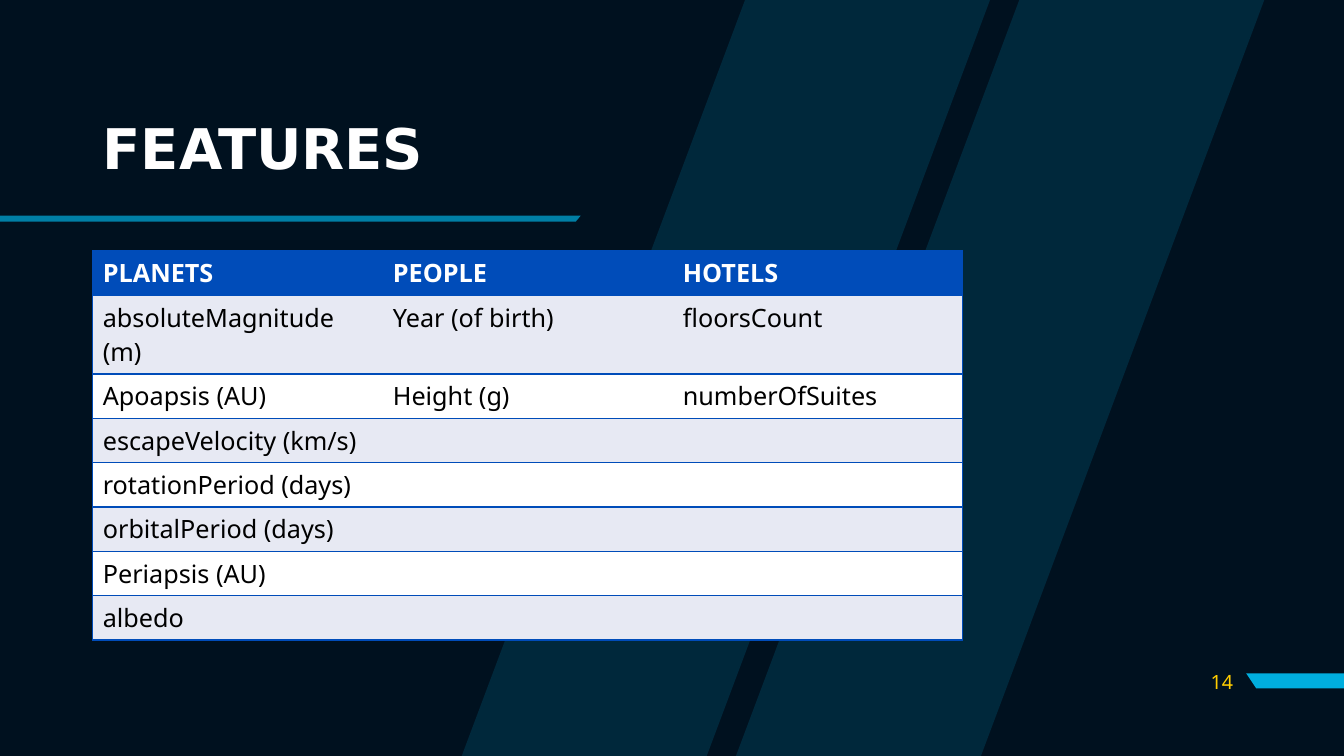
from lxml.etree import SubElement
from pptx import Presentation
from pptx.dml.color import RGBColor
from pptx.enum.text import MSO_ANCHOR as Anchor, PP_ALIGN as Align
from pptx.oxml.ns import qn
from pptx.util import Inches, Pt

NAVY, CYAN, BLUE, PALE, WHITE = "00111F", "00AEDE", "004CB9", "E7E9F3", "FFFFFF"
BODY_FONT, TITLE_FONT = "Noto Sans", "DejaVu Sans"
COLUMNS = {
    "PLANETS": ["absoluteMagnitude (m)", "Apoapsis (AU)", "escapeVelocity (km/s)",
                "rotationPeriod (days)", "orbitalPeriod (days)", "Periapsis (AU)", "albedo"],
    "PEOPLE": ["Year (of birth)", "Height (g)"],
    "HOTELS": ["floorsCount", "numberOfSuites"],
}
TWO_LINE_ROW = 1


def rgb(color):
    return RGBColor.from_string(color)


def style_font(font, name, size, color, bold=False):
    font.name, font.size, font.bold = name, Pt(size), bold
    font.color.rgb = rgb(color)


def add_outline(page, contours, opacity=100):
    """Draw closed cyan contours, given in inches, as one shape."""
    contours = [[(Inches(x), Inches(y)) for x, y in contour] for contour in contours]
    builder = page.shapes.build_freeform(*contours[0][0])
    for index, (start, *points) in enumerate(contours):
        if index:
            builder.move_to(*start)
        builder.add_line_segments(points, close=True)
    shape = builder.convert_to_shape()
    shape.shadow.inherit = False
    shape.line.fill.background()
    shape.fill.solid()
    shape.fill.fore_color.rgb = rgb(CYAN)
    if opacity < 100:
        color = shape.fill._xPr.find(".//" + qn("a:srgbClr"))
        SubElement(color, qn("a:alpha"), val=str(opacity * 1000))


def add_stripes(page, left, top, width, height):
    """Two slanted bands that together span the box."""
    band, step = 2.43, 2.72
    slant = width - band - step
    bottom = top + height
    add_outline(page, [
        [(x + slant, top), (x, bottom), (x + band, bottom), (x + band + slant, top)]
        for x in (left + step, left)
    ], opacity=15)


def add_text(page, left, top, width, height, text, anchor):
    box = page.shapes.add_textbox(*map(Inches, (left, top, width, height)))
    frame = box.text_frame
    frame.word_wrap = True
    frame.vertical_anchor = anchor
    frame.text = text
    return frame.paragraphs[0]


def add_heading(page, left, top, width, height):
    para = add_text(page, left, top, width, height, "FEATURES", Anchor.BOTTOM)
    para.line_spacing = 0.9
    style_font(para.runs[0].font, TITLE_FONT, 40, WHITE, bold=True)
    rule_top, rule_end = top + height + 0.29, 5.76
    rule_bottom = rule_top + 0.06
    add_outline(page, [[(0, rule_top), (0, rule_bottom),
                        (rule_end - 0.05, rule_bottom), (rule_end, rule_top)]], opacity=70)


def add_page_number(page, left, top, width, height):
    para = add_text(page, left, top, width, height, "14", Anchor.MIDDLE)
    para.alignment = Align.RIGHT
    style_font(para.runs[0].font, BODY_FONT, 14, "FFCD00")
    tab_left, tab_top = left + width + 0.03, top + 0.12
    add_outline(page, [[(13.33, tab_top), (13.33, tab_top + 0.15),
                        (tab_left + 0.1, tab_top + 0.15), (tab_left, tab_top)]])


def add_borders(cell, sides):
    """Line the named sides of a cell in blue and clear the others."""
    properties = cell._tc.get_or_add_tcPr()
    for side in "LRTB":
        line = SubElement(properties, qn(f"a:ln{side}"), w=str(Pt(1)))
        if side in sides:
            fill = SubElement(line, qn("a:solidFill"))
            SubElement(fill, qn("a:srgbClr"), val=BLUE)
        else:
            SubElement(line, qn("a:noFill"))


def add_features_table(page, left, top, width, row_height):
    row_count = 1 + max(map(len, COLUMNS.values()))
    last = len(COLUMNS) - 1
    table = page.shapes.add_table(row_count, len(COLUMNS), *map(
        Inches, (left, top, width, row_height * row_count))).table
    table.rows[TWO_LINE_ROW].height = Inches(row_height + 0.34)
    for column, (heading, features) in enumerate(COLUMNS.items()):
        texts = [heading, *features]
        for row in range(row_count):
            cell = table.cell(row, column)
            add_borders(cell, "TB" + "L" * (column == 0) + "R" * (column == last))
            cell.fill.solid()
            cell.fill.fore_color.rgb = rgb(BLUE if row == 0 else PALE if row % 2 else WHITE)
            cell.text = texts[row] if row < len(texts) else ""
            style_font(cell.text_frame.paragraphs[0].font, BODY_FONT, 18,
                       "000000" if row else WHITE, bold=row == 0)


def main():
    deck = Presentation()
    deck.slide_width, deck.slide_height = Inches(13.33), Inches(7.5)
    page = deck.slides.add_slide(deck.slide_layouts[6])
    page.background.fill.solid()
    page.background.fill.fore_color.rgb = rgb(NAVY)
    add_stripes(page, 4.58, 0, 7.96, 7.5)
    add_heading(page, 0.92, 0.4, 11.5, 1.45)
    add_page_number(page, 11.73, 6.56, 0.6, 0.4)
    add_features_table(page, 0.92, 2.49, 8.63, 0.44)
    deck.save("out.pptx")


if __name__ == "__main__":
    main()
